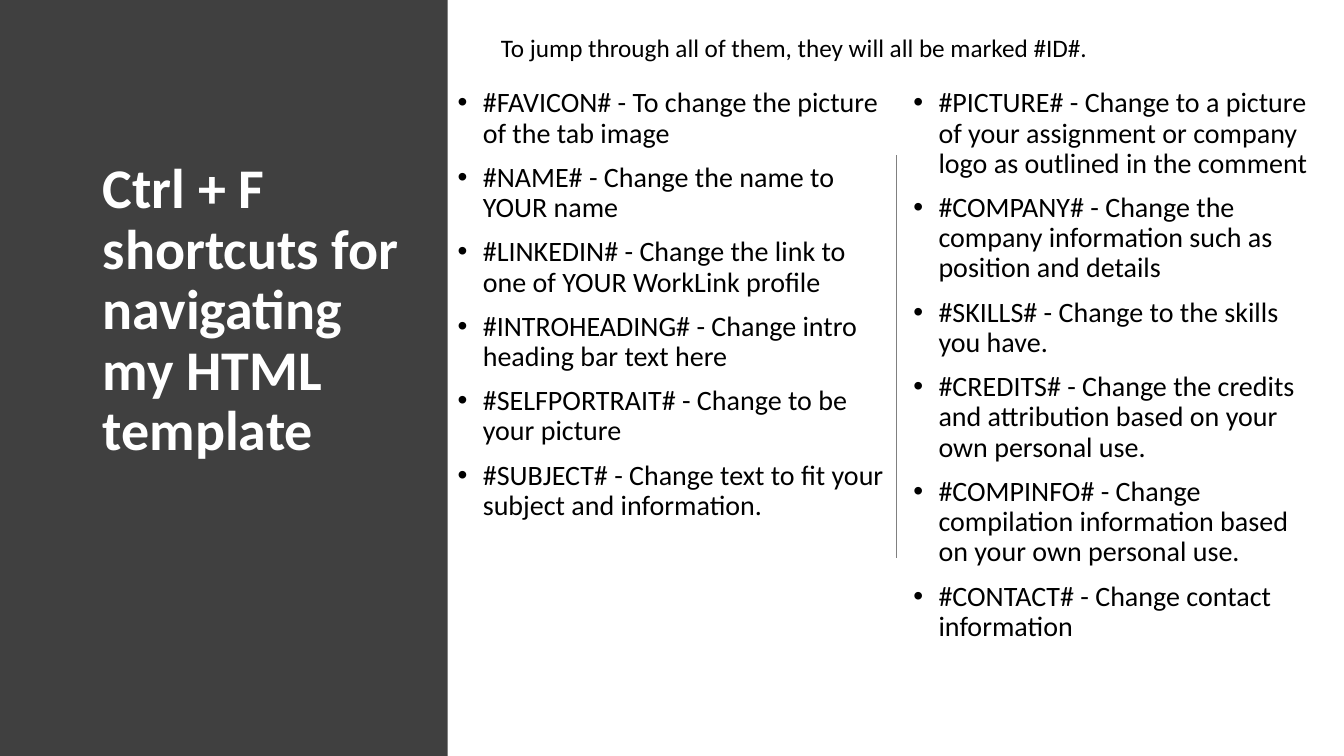
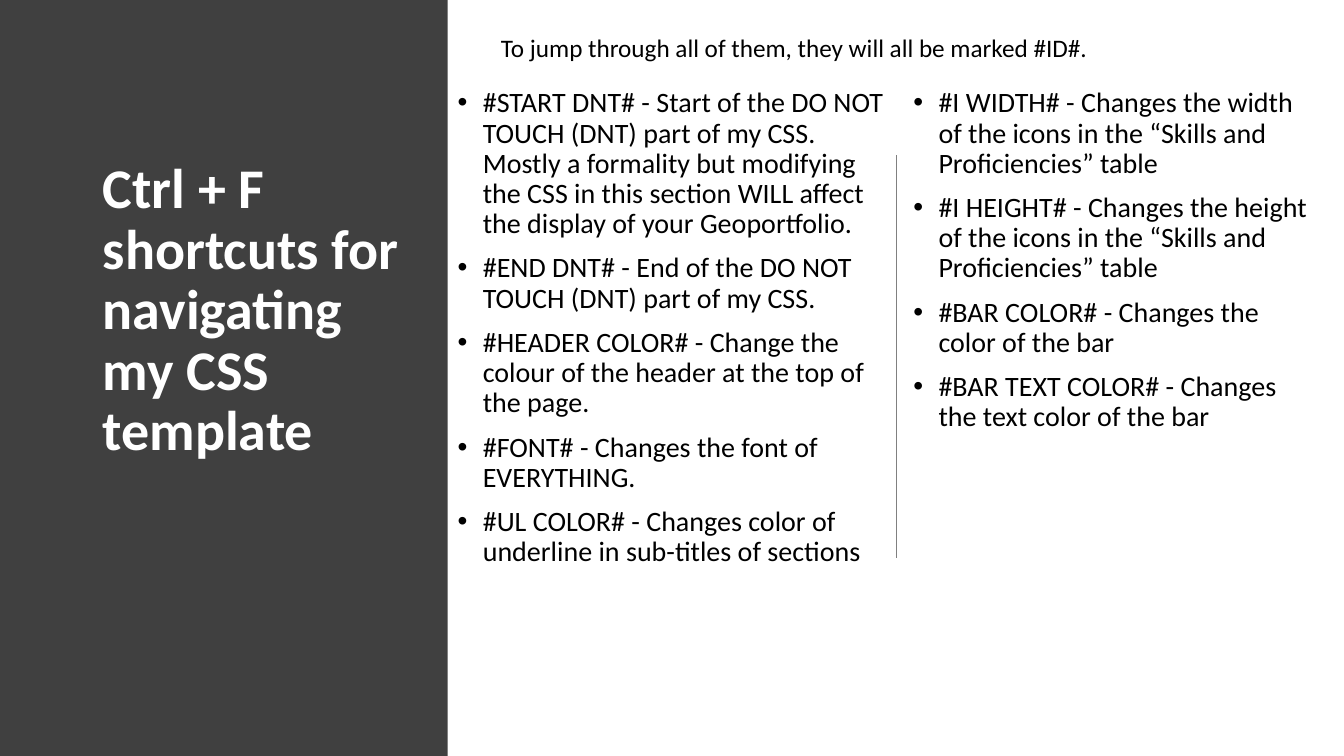
from dataclasses import dataclass

from lxml.etree import SubElement
from pptx import Presentation
from pptx.dml.color import RGBColor
from pptx.enum.shapes import MSO_CONNECTOR as Connector, MSO_SHAPE as Shape
from pptx.enum.text import MSO_ANCHOR as Anchor, MSO_AUTO_SIZE as AutoSize, PP_ALIGN as Align
from pptx.oxml.ns import qn
from pptx.slide import Slide
from pptx.text.text import Font, TextFrame
from pptx.util import Inches, Pt


@dataclass(frozen=True)
class Theme:
    font: str = "Calibri"
    panel: RGBColor = RGBColor(0x40, 0x40, 0x40)
    divider: RGBColor = RGBColor(0x80, 0x80, 0x80)
    ink: RGBColor = RGBColor(0x00, 0x00, 0x00)
    paper: RGBColor = RGBColor(0xFF, 0xFF, 0xFF)
    title_size: int = 40
    body_size: int = 20
    note_size: int = 18
    line_spacing: float = 0.9
    bullet_gap: int = 10


@dataclass(frozen=True)
class Area:
    left: float
    top: float
    width: float
    height: float

    def lengths(self) -> tuple[Inches, Inches, Inches, Inches]:
        return Inches(self.left), Inches(self.top), Inches(self.width), Inches(self.height)


@dataclass(frozen=True)
class ShortcutPage:
    title: str
    left_items: tuple[str, ...]
    right_items: tuple[str, ...]


THEME = Theme()
SLIDE_WIDTH, SLIDE_HEIGHT = 13.33, 7.5
PANEL = Area(0, 0, 4.44, SLIDE_HEIGHT)
TITLE = Area(0.92, 1.54, 3.17, 4.77)
LEFT_COLUMN = Area(PANEL.width, 0.83, 4.45, 6.6)
RIGHT_COLUMN = Area(8.96, 0.83, 4.22, 6.6)
DIVIDER = Area(LEFT_COLUMN.left + LEFT_COLUMN.width, TITLE.top, 0, 4)
NOTE = Area(4.87, 0.27, 7.87, 0.71)
NOTE_TEXT = "To jump through all of them, they will all be marked #ID#."

PAGES = (
    ShortcutPage(
        "Ctrl + F shortcuts for navigating my HTML template",
        (
            "#FAVICON# - To change the picture of the tab image",
            "#NAME# - Change the name to YOUR name",
            "#LINKEDIN# - Change the link to one of YOUR WorkLink profile",
            "#INTROHEADING# - Change intro heading bar text here",
            "#SELFPORTRAIT# - Change to be your picture",
            "#SUBJECT# - Change text to fit your subject and information.",
        ),
        (
            "#PICTURE# - Change to a picture of your assignment or company logo "
            "as outlined in the comment",
            "#COMPANY# - Change the company information such as position and details",
            "#SKILLS# - Change to the skills you have.",
            "#CREDITS# - Change the credits and attribution based on your own personal use.",
            "#COMPINFO# - Change compilation information based on your own personal use.",
            "#CONTACT# - Change contact information",
        ),
    ),
    ShortcutPage(
        "Ctrl + F shortcuts for navigating my CSS template",
        (
            "#START DNT# - Start of the DO NOT TOUCH (DNT) part of my CSS. Mostly a formality "
            "but modifying the CSS in this section WILL affect the display of your Geoportfolio.",
            "#END DNT# - End of the DO NOT TOUCH (DNT) part of my CSS.",
            "#HEADER COLOR# - Change the colour of the header at the top of the page.",
            "#FONT# - Changes the font of EVERYTHING.",
            "#UL COLOR# - Changes color of underline in sub-titles of sections",
        ),
        (
            "#I WIDTH# - Changes the width of the icons in the “Skills and Proficiencies” table",
            "#I HEIGHT# - Changes the height of the icons in the “Skills and Proficiencies” table",
            "#BAR COLOR# - Changes the color of the bar",
            "#BAR TEXT COLOR# - Changes the text color of the bar",
        ),
    ),
)


def style_font(font: Font, size: int, color: RGBColor, bold: bool = False) -> None:
    font.name = THEME.font
    font.size = Pt(size)
    font.color.rgb = color
    font.bold = bold


def add_panel(page: Slide) -> None:
    panel = page.shapes.add_shape(Shape.RECTANGLE, *PANEL.lengths())
    panel.shadow.inherit = False
    panel.fill.solid()
    panel.fill.fore_color.rgb = THEME.panel
    panel.line.fill.background()
    # Place the panel behind the title
    page.shapes._spTree.insert(2, panel._element)


def set_title(page: Slide, text: str) -> None:
    title = page.shapes.title
    title.left, title.top, title.width, title.height = TITLE.lengths()
    frame = title.text_frame
    frame.text = text
    frame.word_wrap = True
    frame.auto_size = AutoSize.NONE
    frame.vertical_anchor = Anchor.TOP
    para = frame.paragraphs[0]
    para.alignment = Align.LEFT
    para.line_spacing = THEME.line_spacing
    style_font(para.font, THEME.title_size, THEME.paper, bold=True)


def add_text_frame(page: Slide, area: Area) -> TextFrame:
    frame = page.shapes.add_textbox(*area.lengths()).text_frame
    frame.word_wrap = True
    return frame


def add_bullets(page: Slide, area: Area, items: tuple[str, ...]) -> None:
    frame = add_text_frame(page, area)
    for index, item in enumerate(items):
        para = frame.add_paragraph() if index else frame.paragraphs[0]
        para.text = item
        para.line_spacing = THEME.line_spacing
        if index:
            para.space_before = Pt(THEME.bullet_gap)
        properties = para._p.get_or_add_pPr()
        properties.set("marL", str(Inches(0.25)))
        properties.set("indent", str(-Inches(0.25)))
        SubElement(properties, qn("a:buFont"), typeface="Arial")
        SubElement(properties, qn("a:buChar"), char="•")
        style_font(para.font, THEME.body_size, THEME.ink)


def add_divider(page: Slide) -> None:
    left, top, _, height = DIVIDER.lengths()
    divider = page.shapes.add_connector(Connector.STRAIGHT, left, top, left, top + height)
    divider.line.color.rgb = THEME.divider
    divider.line.width = Pt(1)
    SubElement(divider._element.spPr, qn("a:effectLst"))


def add_note(page: Slide) -> None:
    frame = add_text_frame(page, NOTE)
    frame.text = NOTE_TEXT
    style_font(frame.paragraphs[0].font, THEME.note_size, THEME.ink)


def main() -> None:
    deck = Presentation()
    deck.slide_width, deck.slide_height = Inches(SLIDE_WIDTH), Inches(SLIDE_HEIGHT)
    title_only = deck.slide_layouts.get_by_name("Title Only")
    for content in PAGES:
        page = deck.slides.add_slide(title_only)
        # Dark side panel with the title
        add_panel(page)
        set_title(page, content.title)
        # Two bulleted columns with a line between them
        add_bullets(page, LEFT_COLUMN, content.left_items)
        add_divider(page)
        add_bullets(page, RIGHT_COLUMN, content.right_items)
        # Hint above the columns
        add_note(page)
    deck.save("out.pptx")


if __name__ == "__main__":
    main()
